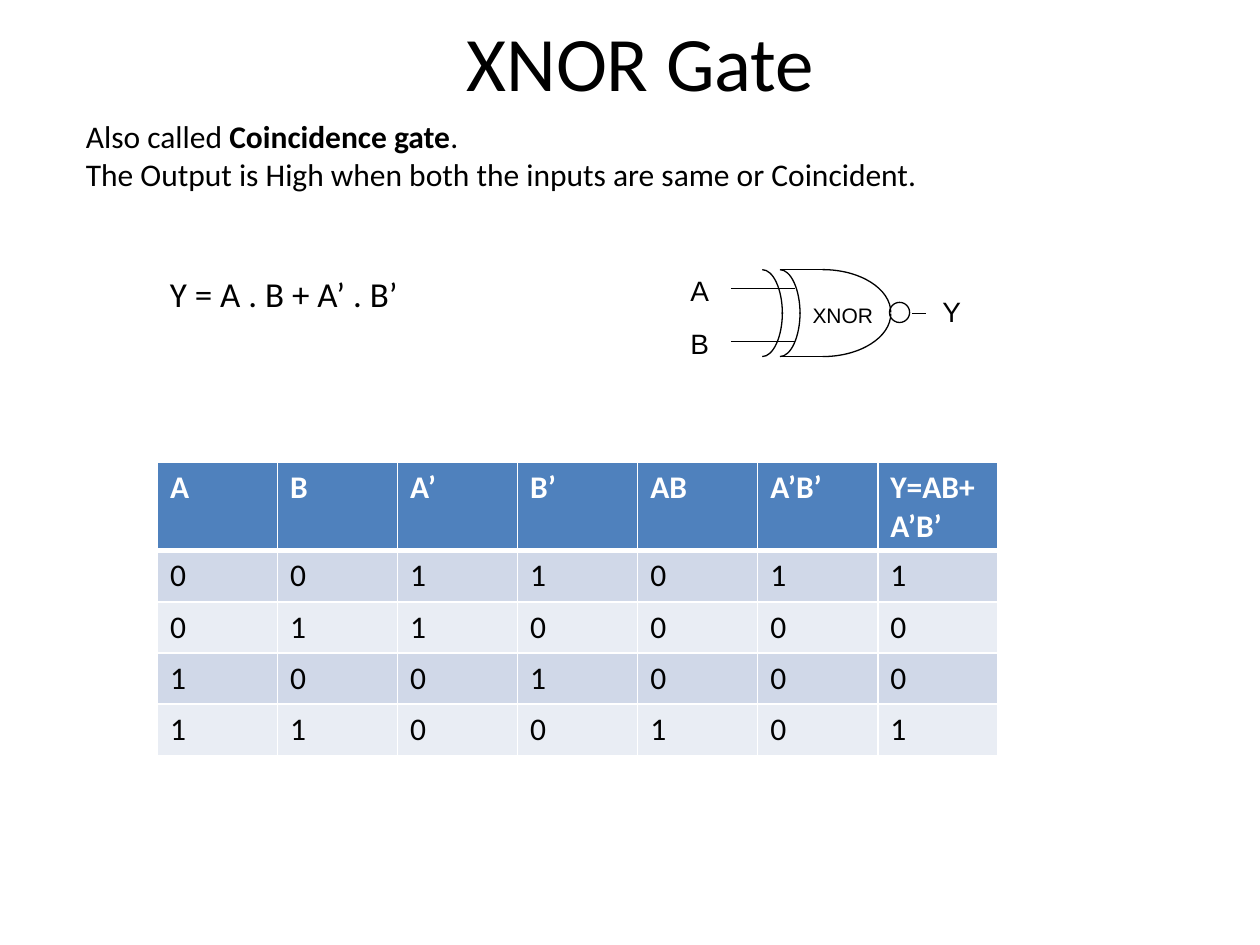
from lxml import etree
from pptx import Presentation
from pptx.dml.color import RGBColor
from pptx.enum.shapes import MSO_CONNECTOR as Link, MSO_SHAPE as Kind
from pptx.enum.text import MSO_ANCHOR as Anchor, PP_ALIGN as Align
from pptx.oxml import parse_xml
from pptx.oxml.ns import nsdecls, qn
from pptx.util import Inches, Pt

BLACK, WHITE = "000000", "FFFFFF"

prs = Presentation()
prs.slide_width, prs.slide_height = Inches(10), Inches(7.5)
slide = prs.slides.add_slide(prs.slide_layouts[6])


def paint(part, color):
    """Give a fill, or the font of a run, a solid colour."""
    fill = part.fill
    fill.solid()
    fill.fore_color.rgb = RGBColor.from_string(color)


def write(frame, lines, size, font="Calibri", color=BLACK):
    """Each line is a list of (text, bold) runs."""
    for i, line in enumerate(lines):
        para = frame.paragraphs[0] if i == 0 else frame.add_paragraph()
        for text, bold in line:
            run = para.add_run()
            run.text = text
            run.font.name, run.font.size, run.font.bold = font, Pt(size), bold
            paint(run.font, color)


# Title, summary and formula
side = 7 / 12
texts = [
    ((side, 0, 9, 0.97), 44, [[("XNOR Gate", False)]]),
    ((side, 0.88, 8.83, 0.71), 18, [
        [("Also called ", False), ("Coincidence gate", True), (". ", False)],
        [("The Output is High when both the inputs are same or Coincident.", False)]]),
    ((1.25, 2.11, 2.92, 0.44), 20, [[("Y = A . B + A’ . B’", False)]]),
]
for box, size, lines in texts:
    frame = slide.shapes.add_textbox(*map(Inches, box)).text_frame
    frame.word_wrap = True
    write(frame, lines, size)
    if size == 44:
        frame.vertical_anchor = Anchor.MIDDLE
        frame.paragraphs[0].alignment = Align.CENTER

# Gate symbol: output bubble
gate = slide.shapes.add_group_shape().shapes
bubble = gate.add_shape(Kind.OVAL, *map(Inches, (7.06, 2.4, 0.16, 0.16)))
outline = [bubble]

# Gate curves: an upper and a lower quarter ellipse each
top, base = 2.14, 2.83
for left, wide, tall in ((6.53, 0.54, 0.34), (6.19, 0.16, 0.35), (6.05, 0.16, 0.35)):
    for edge, rise in ((top, tall), (base, -tall)):
        path = gate.build_freeform(Inches(left), Inches(edge))
        path.add_line_segments([(Inches(left + wide), Inches(edge + rise))], close=False)
        curve = path.convert_to_shape()
        # Bend the straight segment into one Bezier curve
        bend = curve._element.find(".//" + qn("a:lnTo"))
        bend.tag = qn("a:cubicBezTo")
        start, end = 0 if rise > 0 else curve.height, curve.height if rise > 0 else 0
        for x, y in ((0.45, 1), (0, 0.55)):
            knot = etree.Element(qn("a:pt"))
            knot.set("x", str(round(curve.width * (1 - x))))
            knot.set("y", str(round(start + (end - start) * (1 - y))))
            bend.insert(len(bend) - 1, knot)
        outline.append(curve)

for item in outline:
    item.fill.background()
    item.shadow.inherit = False

# Gate edges, inputs and output
for x1, x2, y in ((6.53, 6.19, top), (6.55, 6.2, base),
                  (5.8, 6.31, 2.29), (5.8, 6.31, 2.71), (7.24, 7.35, 2.49)):
    wire = gate.add_connector(Link.STRAIGHT, *map(Inches, (x1, y, x2, y)))
    etree.SubElement(wire._element.spPr, qn("a:effectLst"))
    outline.append(wire)

for item in outline:
    paint(item.line, BLACK)
    item.line.width = Pt(0.75)

# Gate labels
for name, x, y, w, h, size in (("A", 5.38, 2.12, 0.35, 0.37, 16),
                               ("B", 5.38, 2.54, 0.35, 0.37, 16),
                               ("Y", 7.38, 2.29, 0.35, 0.37, 16),
                               ("XNOR", 6.35, 2.35, 0.68, 0.3, 12)):
    frame = gate.add_textbox(*map(Inches, (x, y, w, h))).text_frame
    frame.word_wrap = False
    write(frame, [[(name, False)]], size, "Arial")

# Truth table, worked out from the inputs
rows = [["A", "B", "A’", "B’", "AB", "A’B’", "Y=AB+A’B’"]]
for a in (0, 1):
    for b in (0, 1):
        both, none = a * b, (1 - a) * (1 - b)
        rows.append([a, b, 1 - a, 1 - b, both, none, both + none])

table = slide.shapes.add_table(5, 7, *map(Inches, (1.25, 3.67, 6.67, 2.03))).table
for col in table.columns:
    col.width = Inches(6.67 / 7)
for r, row in enumerate(rows):
    table.rows[r].height = Inches(2.03 / 5)
    head = r == 0
    for c, value in enumerate(row):
        cell = table.cell(r, c)
        write(cell.text_frame, [[(str(value), head)]], 18,
              color=WHITE if head else BLACK)
        for rim in "LRTB":
            thick = 3 if (head and rim == "B") or (r == 1 and rim == "T") else 1
            cell._tc.get_or_add_tcPr().append(parse_xml(
                f'<a:ln{rim} {nsdecls("a")} w="{Pt(thick)}"><a:solidFill>'
                f'<a:srgbClr val="{WHITE}"/></a:solidFill></a:ln{rim}>'))
        paint(cell, "4F81BD" if head else "D0D8E8" if r % 2 else "E9EDF4")

prs.save("out.pptx")
